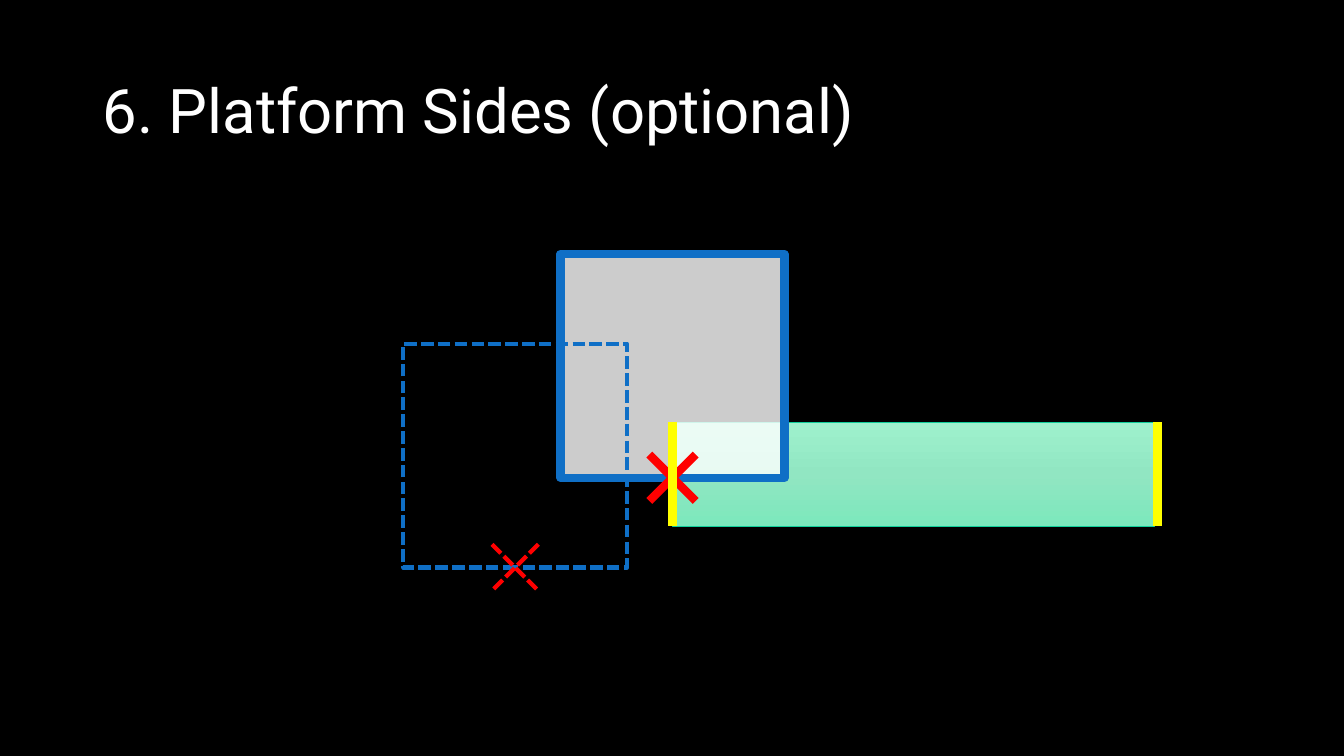
from copy import deepcopy
from pptx import Presentation
from pptx.dml.color import RGBColor
from pptx.enum.dml import MSO_LINE_DASH_STYLE as Dash
from pptx.enum.shapes import MSO_CONNECTOR as Connector, MSO_SHAPE as Shape
from pptx.enum.text import MSO_ANCHOR as Anchor, MSO_AUTO_SIZE as AutoSize, PP_ALIGN as Align
from pptx.oxml.ns import qn
from pptx.util import Inches, Pt

TITLE = "6. Platform Sides (optional)"
BLACK, WHITE, BLUE, RED, YELLOW, GREEN = (
    "000000", "FFFFFF", "0F6FC6", "FF0000", "FFFF00", "10CF9B")
PLATFORM = (6.67, 4.19, 4.78, 1.03)
PLATFORM_STOPS = [(0, "9EF1CD"), (0.5, "91E6C2"), (1, "7CE8BC")]
SIDES = [6.67, 11.48]
BODY_SIZE, CROSS_SIZE = 2.22, 0.46
# left and top of the player's body, then its look
PLAYERS = [
    dict(left=5.56, top=2.52, width=6, fill=WHITE, opacity=80),
    dict(left=4.0, top=3.41, width=3, dash=Dash.SQUARE_DOT),
]


def rgb(value):
    """Turn a hex string into a colour."""
    return RGBColor.from_string(value)


def style_line(line, color, width, dash=None):
    """Set the colour, width and dash of a line."""
    line.color.rgb = rgb(color)
    line.width = Pt(width)
    if dash:
        line.dash_style = dash


def write(frame, text, size=18, font="Roboto", color=WHITE, spacing=1.0):
    """Put formatted, left-aligned text into a text frame."""
    frame.word_wrap = True
    frame.auto_size = AutoSize.NONE
    frame.vertical_anchor = Anchor.MIDDLE
    para = frame.paragraphs[0]
    para.alignment = Align.LEFT
    para.line_spacing = spacing
    span = para.add_run()
    span.text = text
    span.font.size = Pt(size)
    span.font.name = font
    span.font.color.rgb = rgb(color)


def add_box(shapes, left, top, width, height):
    """Add a rectangle without shadow or fill."""
    box = shapes.add_shape(Shape.RECTANGLE, *map(Inches, (left, top, width, height)))
    box.shadow.inherit = False
    box.fill.background()
    return box


def add_line(shapes, start, end, color, width, dash=None):
    """Add a straight line without shadow."""
    line = shapes.add_connector(Connector.STRAIGHT, *map(Inches, (*start, *end)))
    style_line(line.line, color, width, dash)
    properties = line._element.spPr
    properties.append(properties.makeelement(qn("a:effectLst"), {}))


def fill_gradient(box, stops):
    """Fill a box with a gradient that runs from top to bottom."""
    box.fill.gradient()
    box.fill.gradient_angle = 270
    stop_list = box._element.spPr.find(".//" + qn("a:gsLst"))
    while len(stop_list) < len(stops):
        stop_list.append(deepcopy(stop_list[0]))
    for stop, (position, color) in zip(box.fill.gradient_stops, stops):
        stop.position = position
        stop.color.rgb = rgb(color)


def add_player(shapes, left, top, width, fill=None, opacity=100, dash=None):
    """Group a square body with a cross at the middle of its bottom edge."""
    group = shapes.add_group_shape().shapes
    body = add_box(group, left, top, BODY_SIZE, BODY_SIZE)
    if fill:
        body.fill.solid()
        body.fill.fore_color.rgb = rgb(fill)
        color = body._element.spPr.find(".//" + qn("a:srgbClr"))
        color.append(color.makeelement(qn("a:alpha"), {"val": str(opacity * 1000)}))
    style_line(body.line, BLUE, width, dash)
    x, y, reach = left + BODY_SIZE / 2, top + BODY_SIZE, CROSS_SIZE / 2
    for side in (-reach, reach):
        add_line(group, (x + side, y - reach), (x - side, y + reach), RED, width, dash)


deck = Presentation()
deck.slide_width, deck.slide_height = Inches(13.33), Inches(7.5)
page = deck.slides.add_slide(deck.slide_layouts[5])
page.background.fill.solid()
page.background.fill.fore_color.rgb = rgb(BLACK)

title = page.shapes.title
title.left, title.top, title.width, title.height = map(Inches, (0.92, 0.4, 11.5, 1.45))
write(title.text_frame, TITLE, size=44, spacing=0.9)

platform = add_box(page.shapes, *PLATFORM)
fill_gradient(platform, PLATFORM_STOPS)
style_line(platform.line, GREEN, 0.5)
for player in PLAYERS:
    add_player(page.shapes, **player)
platform_top, platform_height = PLATFORM[1], PLATFORM[3]
for x in SIDES:
    add_line(page.shapes, (x, platform_top), (x, platform_top + platform_height), YELLOW, 6)

deck.save("out.pptx")
